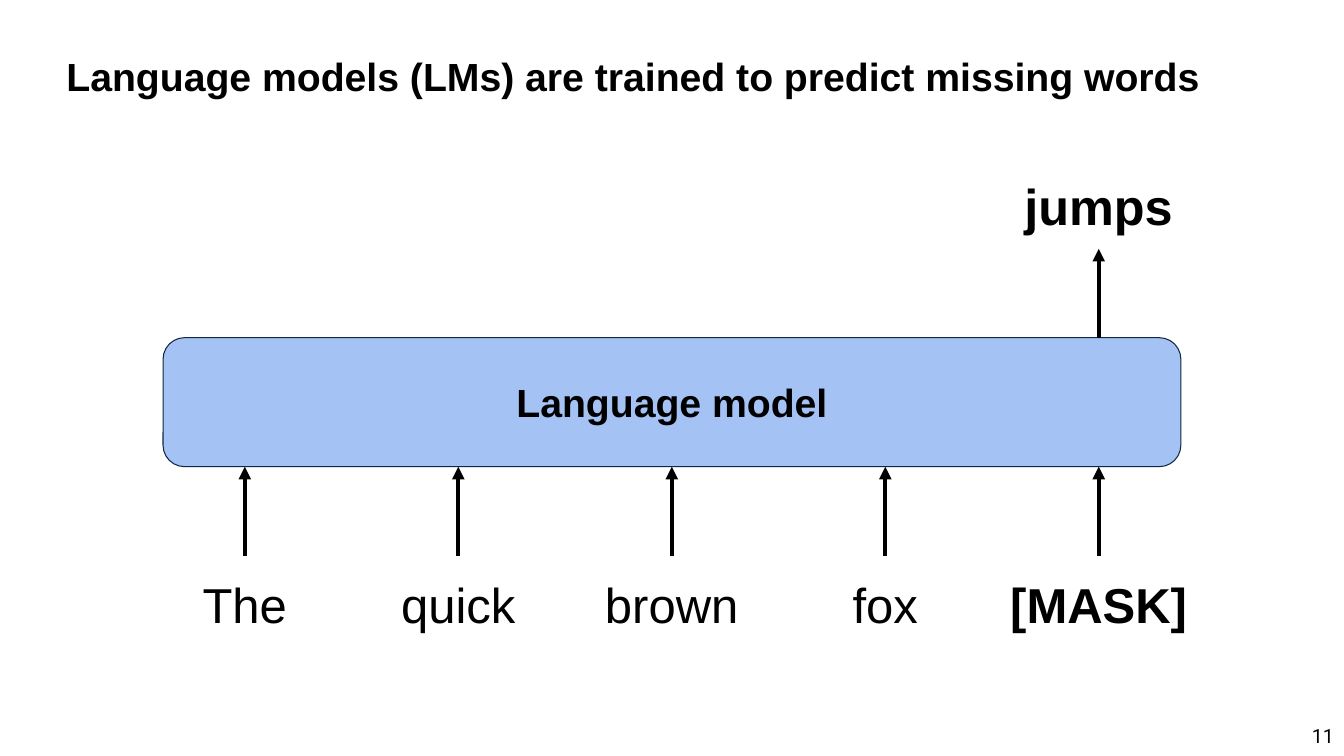
from pptx import Presentation
from pptx.util import Cm, Pt
from pptx.dml.color import RGBColor as Rgb
from pptx.enum.shapes import MSO_CONNECTOR as Link, MSO_SHAPE as Shape
from pptx.enum.text import MSO_ANCHOR as Anchor, MSO_AUTO_SIZE as Fit, PP_ALIGN as Align
from pptx.oxml.ns import qn
from lxml.etree import SubElement as Sub

INK = {"text": "000000", "model": "A4C2F4", "edge": "0E2841"}


def write(shape, text, size, bold=False, align=Align.CENTER, anchor=Anchor.MIDDLE, font="Arial"):
    frame = shape.text_frame
    frame.word_wrap = True
    frame.auto_size = Fit.NONE
    frame.vertical_anchor = anchor
    para = frame.paragraphs[0]
    para.alignment = align
    run = para.add_run()
    run.text = text
    run.font.name = font
    run.font.size = Pt(size)
    run.font.bold = bold
    run.font.color.rgb = Rgb.from_string(INK["text"])


def arrow(x, start, end):
    line = slide.shapes.add_connector(Link.STRAIGHT, Cm(x), Cm(start), Cm(x), Cm(end))
    line.line.color.rgb = Rgb.from_string(INK["text"])
    line.line.width = Pt(3)
    Sub(line.line._get_or_add_ln(), qn("a:tailEnd"), type="triangle")
    Sub(line._element.spPr, qn("a:effectLst"))


deck = Presentation()
deck.slide_width, deck.slide_height = Cm(33.87), Cm(19.05)
slide = deck.slides.add_slide(deck.slide_layouts[5])

title = slide.shapes.title
title.left, title.top, title.width, title.height = Cm(1.42), Cm(0.91), Cm(31.01), Cm(2)
write(title, "Language models (LMs) are trained to predict missing words", 28, True, Align.LEFT)

page = slide.shapes.add_textbox(Cm(31.42), Cm(18.03), Cm(2.45), Cm(1.02))
write(page, "11", 14, align=Align.RIGHT, font="Roboto")

top, high = 8.51, 3.25
base = top + high
model = slide.shapes.add_shape(Shape.ROUNDED_RECTANGLE, Cm(4.11), Cm(top), Cm(25.65), Cm(high))
model.shadow.inherit = False
model.fill.solid()
model.fill.fore_color.rgb = Rgb.from_string(INK["model"])
model.line.color.rgb = Rgb.from_string(INK["edge"])
model.line.width = Pt(0.75)
write(model, "Language model", 28, True)

first, step, reach = 6.17, 5.38, 2.24
words = ["The", "quick", "brown", "fox", "[MASK]"]
for i, word in enumerate(words):
    x = first + i * step
    mask = word == "[MASK]"
    wide = 5.87 if mask else 4.29
    arrow(x, base + reach, base)
    box = slide.shapes.add_textbox(Cm(x - wide / 2), Cm(14.35), Cm(wide), Cm(2))
    write(box, word, 35, mask, anchor=Anchor.TOP)

last = first + (len(words) - 1) * step
arrow(last, top, top - reach)
guess = slide.shapes.add_textbox(Cm(last - 2.15), Cm(4.29), Cm(4.29), Cm(2))
write(guess, "jumps", 36, True, anchor=Anchor.TOP)

deck.save("out.pptx")
